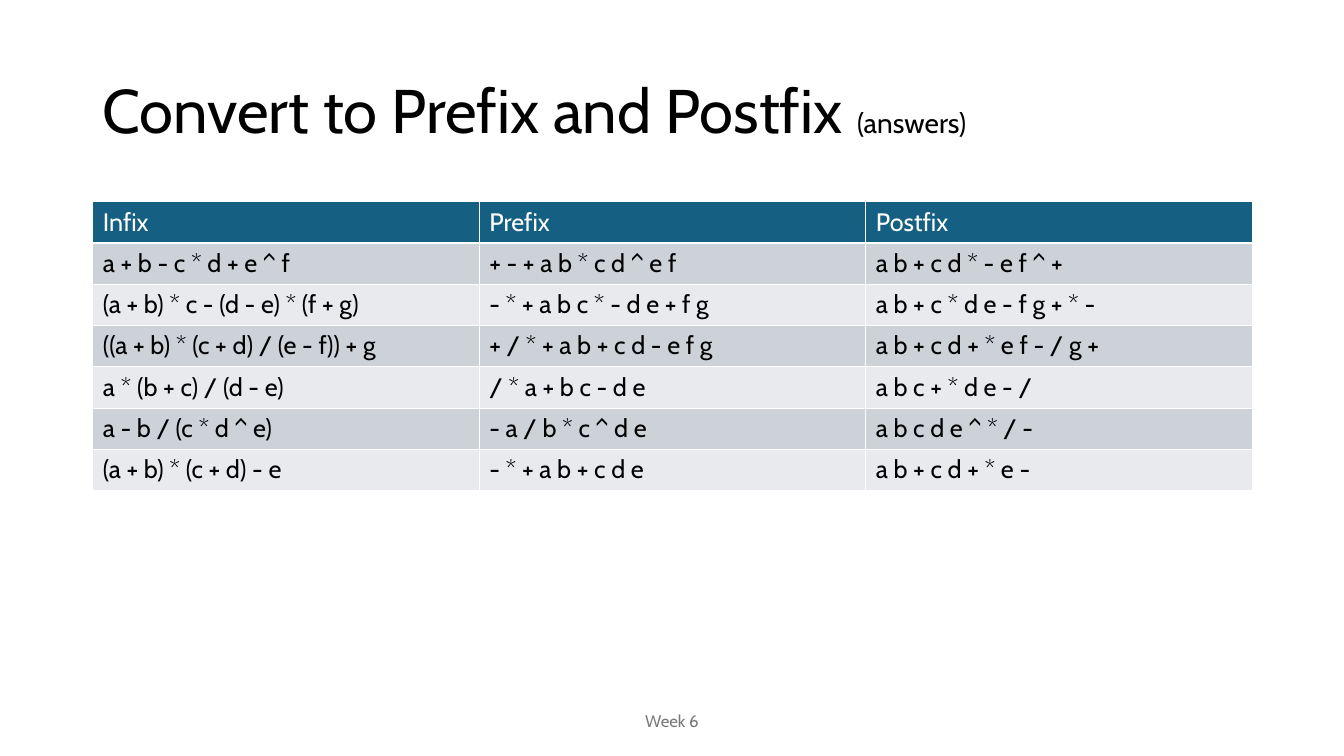
from pptx import Presentation
from pptx.dml.color import RGBColor
from pptx.enum.text import MSO_ANCHOR, PP_ALIGN
from pptx.util import Inches, Pt

TITLE = [("Convert to Prefix and Postfix ", 44), ("(answers)", 20)]
HEADINGS = ("Infix", "Prefix", "Postfix")
EXPRESSIONS = [
    ("a + b - c * d + e ^ f", "+ - + a b * c d ^ e f", "a b + c d * - e f ^ +"),
    ("(a + b) * c - (d - e) * (f + g)", "- * + a b c * - d e + f g", "a b + c * d e - f g + * -"),
    ("((a + b) * (c + d) / (e - f)) + g", "+ / * + a b + c d - e f g", "a b + c d + * e f - / g +"),
    ("a * (b + c) / (d - e)", "/ * a + b c - d e", "a b c + * d e - /"),
    ("a - b / (c * d ^ e)", "- a / b * c ^ d e", "a b c d e ^ * / -"),
    ("(a + b) * (c + d) - e", "- * + a b + c d e", "a b + c d + * e -"),
]
FOOTER = "Week 6"

FONT = "Cabin"
BLACK, WHITE, GREY = "000000", "FFFFFF", "797979"
HEADING_FILL = "156082"
BANDS = ("CCD2D8", "E8EAED")
SLIDE_W, SLIDE_H = 13.33, 7.5
MARGIN = 0.92
CONTENT_W = 11.5
ROW_H = 0.41
FOOTER_W = 4.5


def color(value):
    return RGBColor.from_string(value)


def add_run(paragraph, text, size, ink):
    run = paragraph.add_run()
    run.text = text
    run.font.name = FONT
    run.font.size = Pt(size)
    run.font.bold = False
    run.font.color.rgb = color(ink)


def place(shape, left, top, width, height):
    shape.left, shape.top = Inches(left), Inches(top)
    shape.width, shape.height = Inches(width), Inches(height)


def add_title(slide):
    title = slide.shapes.title
    place(title, MARGIN, 0.4, CONTENT_W, 1.45)
    title.text_frame.vertical_anchor = MSO_ANCHOR.MIDDLE
    paragraph = title.text_frame.paragraphs[0]
    paragraph.alignment = PP_ALIGN.LEFT
    paragraph.line_spacing = 0.9
    for text, size in TITLE:
        add_run(paragraph, text, size, BLACK)


def add_answers(slide):
    rows = [HEADINGS, *EXPRESSIONS]
    answers = slide.shapes.add_table(
        len(rows), len(HEADINGS), Inches(MARGIN), Inches(2),
        Inches(CONTENT_W), Inches(ROW_H * len(rows))).table
    for r, expressions in enumerate(rows):
        fill = BANDS[(r - 1) % 2] if r else HEADING_FILL
        for c, expression in enumerate(expressions):
            cell = answers.cell(r, c)
            cell.fill.solid()
            cell.fill.fore_color.rgb = color(fill)
            add_run(cell.text_frame.paragraphs[0], expression, 18, BLACK if r else WHITE)


def add_footer(slide):
    footer = slide.shapes.add_textbox(
        Inches((SLIDE_W - FOOTER_W) / 2), Inches(6.95), Inches(FOOTER_W), Inches(0.4))
    frame = footer.text_frame
    frame.word_wrap = True
    frame.vertical_anchor = MSO_ANCHOR.MIDDLE
    frame.paragraphs[0].alignment = PP_ALIGN.CENTER
    add_run(frame.paragraphs[0], FOOTER, 12, GREY)


def main():
    deck = Presentation()
    deck.slide_width, deck.slide_height = Inches(SLIDE_W), Inches(SLIDE_H)
    slide = deck.slides.add_slide(deck.slide_layouts[5])
    add_title(slide)
    add_answers(slide)
    add_footer(slide)
    deck.save("out.pptx")


if __name__ == "__main__":
    main()
